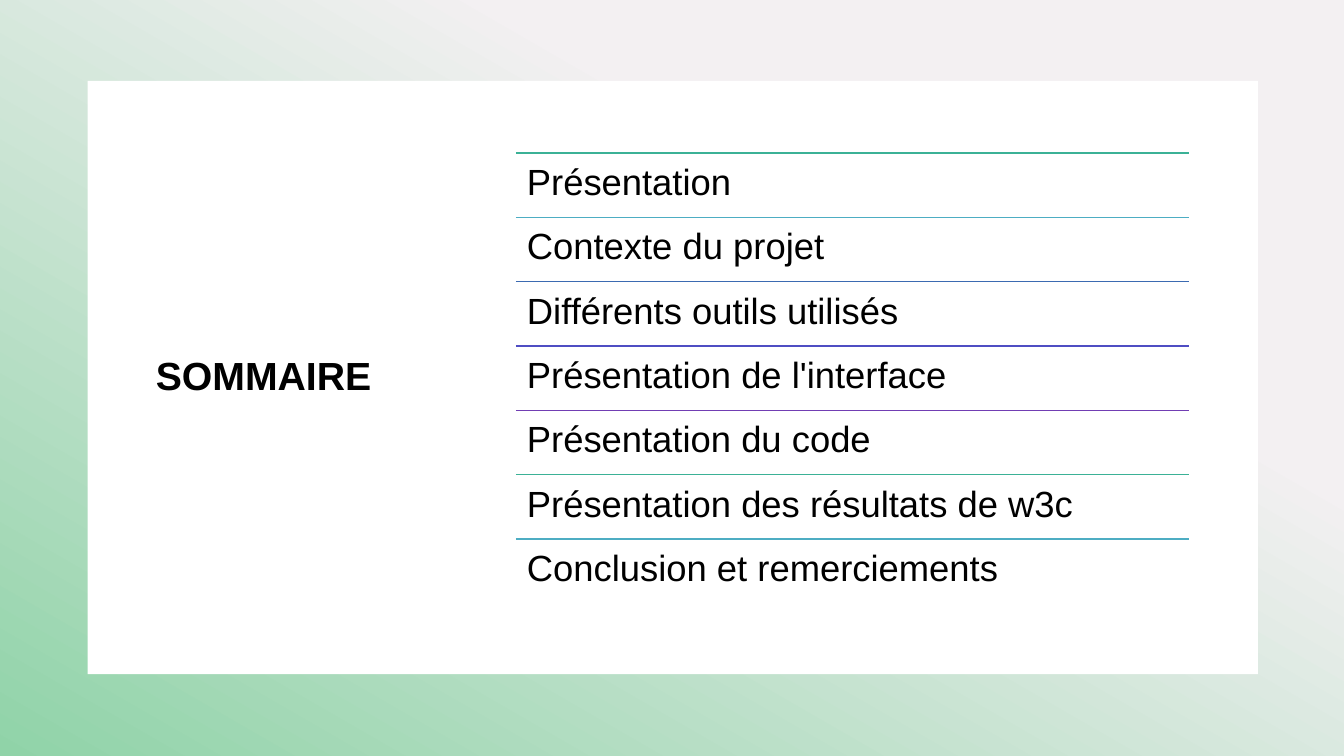
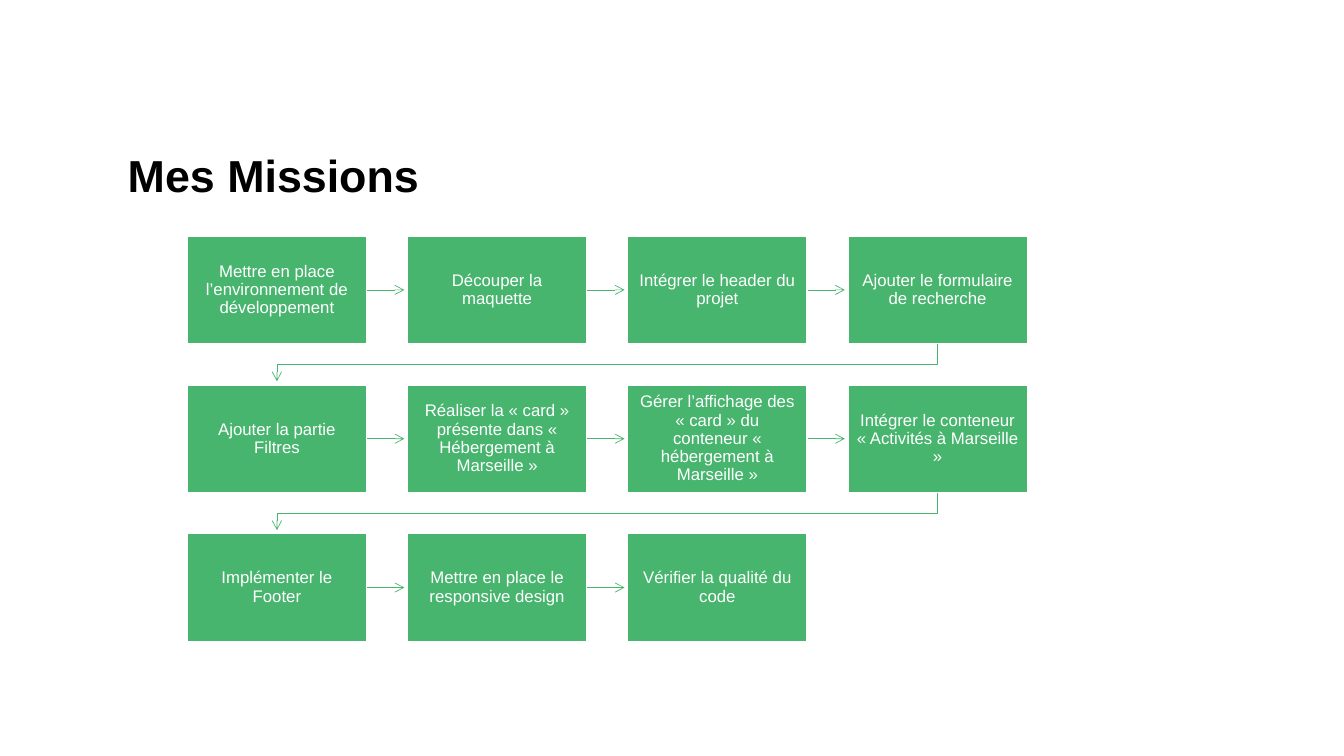
import itertools

import lxml.etree
import pptx
import pptx.dml.color
import pptx.enum.shapes
import pptx.enum.text
import pptx.oxml.ns
import pptx.util

Cm = pptx.util.Cm
Pt = pptx.util.Pt
SHAPE = pptx.enum.shapes.MSO_SHAPE
CONNECTOR = pptx.enum.shapes.MSO_CONNECTOR
ANCHOR = pptx.enum.text.MSO_ANCHOR
ALIGN = pptx.enum.text.PP_ALIGN

FONT = "Arial"
BLACK, WHITE, GREEN = "000000", "FFFFFF", "47B56E"
GRADIENT = [(0.32, "F3F0F2"), (1, "90D3A8")]
RULE_COLORS = ["3BB196", "4DADC3", "3B6AB1", "4F4DC3", "713EB3"]

SUMMARY_TITLE = "SOMMAIRE"
SUMMARY = [
    "Présentation",
    "Contexte du projet",
    "Différents outils utilisés",
    "Présentation de l'interface",
    "Présentation du code",
    "Présentation des résultats de w3c",
    "Conclusion et remerciements",
]

MISSIONS_TITLE = "Mes Missions"
MISSIONS = [
    "Mettre en place l’environnement de développement",
    "Découper la maquette",
    "Intégrer le header du projet",
    "Ajouter le formulaire de recherche",
    "Ajouter la partie Filtres",
    "Réaliser la « card » présente dans « Hébergement à Marseille »",
    "Gérer l’affichage des « card » du conteneur « hébergement à Marseille »",
    "Intégrer le conteneur « Activités à Marseille »",
    "Implémenter le Footer",
    "Mettre en place le responsive design",
    "Vérifier la qualité du code",
]

RULE_LEFT, RULE_TOP, RULE_WIDTH, RULE_STEP = 13.0, 3.86, 16.97, 1.62
COLUMNS = 4
GRID_LEFT, GRID_TOP = 4.72, 5.95
BOX_WIDTH, BOX_HEIGHT = 4.52, 2.71
COLUMN_STEP, ROW_STEP = 5.55, 3.75
ARROW_LENGTH = 0.95


def rgb(color):
    return pptx.dml.color.RGBColor.from_string(color)


def write_text(box, text, size, color=BLACK, bold=False, align=ALIGN.LEFT,
               anchor=ANCHOR.MIDDLE, insets=(0.25, 0.13)):
    """Fill a box with one paragraph; insets are horizontal and vertical, in cm."""
    frame = box.text_frame
    frame.word_wrap = True
    frame.vertical_anchor = anchor
    frame.margin_left = frame.margin_right = Cm(insets[0])
    frame.margin_top = frame.margin_bottom = Cm(insets[1])
    para = frame.paragraphs[0]
    para.alignment = align
    para.line_spacing = 0.9
    span = para.add_run()
    span.text = text
    span.font.name = FONT
    span.font.size = Pt(size)
    span.font.bold = bold
    span.font.color.rgb = rgb(color)


def add_text(page, area, text, **text_format):
    box = page.shapes.add_textbox(*map(Cm, area))
    write_text(box, text, **text_format)


def add_title(page, area, text, size, anchor=ANCHOR.MIDDLE):
    add_text(page, area, text, size=size, bold=True, anchor=anchor)


def add_rectangle(page, area, fill, line=None):
    box = page.shapes.add_shape(SHAPE.RECTANGLE, *map(Cm, area))
    box.shadow.inherit = False
    box.fill.solid()
    box.fill.fore_color.rgb = rgb(fill)
    if line:
        box.line.color.rgb = rgb(line)
        box.line.width = Pt(1)
    else:
        box.line.fill.background()
    return box


def add_line(page, points, color, width, arrow=False):
    """Join points given in cm: a connector for two, an open outline for more."""
    points = [(Cm(x), Cm(y)) for x, y in points]
    if len(points) == 2:
        line = page.shapes.add_connector(CONNECTOR.STRAIGHT, *points[0], *points[1])
        properties = line._element.spPr
    else:
        builder = page.shapes.build_freeform(*points[0])
        builder.add_line_segments(points[1:], close=False)
        line = builder.convert_to_shape()
        line.fill.background()
        properties = line._element.spPr
    line.line.color.rgb = rgb(color)
    line.line.width = Pt(width)
    lxml.etree.SubElement(properties, pptx.oxml.ns.qn("a:effectLst"))
    if arrow:
        outline = properties.find(pptx.oxml.ns.qn("a:ln"))
        lxml.etree.SubElement(outline, pptx.oxml.ns.qn("a:tailEnd"), type="arrow")


def fill_background(page):
    fill = page.background.fill
    fill.gradient()
    fill.gradient_angle = 240
    for stop, (position, color) in zip(fill.gradient_stops, GRADIENT):
        stop.position = position
        stop.color.rgb = rgb(color)


def build_summary(page):
    fill_background(page)
    add_rectangle(page, (2.21, 2.04, 29.49, 14.95), WHITE)
    add_title(page, (3.68, 5.72, 8.38, 7.59), SUMMARY_TITLE, 28)
    for row, (entry, color) in enumerate(zip(SUMMARY, itertools.cycle(RULE_COLORS))):
        top = RULE_TOP + row * RULE_STEP
        add_line(page, [(RULE_LEFT, top), (RULE_LEFT + RULE_WIDTH, top)], color, 1)
        add_text(page, (RULE_LEFT, top, RULE_WIDTH, RULE_STEP), entry,
                 size=26, anchor=ANCHOR.TOP, insets=(0.28, 0.28))


def mission_corner(index):
    row, column = divmod(index, COLUMNS)
    return GRID_LEFT + column * COLUMN_STEP, GRID_TOP + row * ROW_STEP


def arrow_points(index):
    """Path from a mission to the next one, turning back at the end of a row."""
    left, top = mission_corner(index)
    right, bottom = left + BOX_WIDTH, top + BOX_HEIGHT
    if (index + 1) % COLUMNS:
        middle = top + BOX_HEIGHT / 2
        return [(right, middle), (right + ARROW_LENGTH, middle)]
    start, end = left + BOX_WIDTH / 2, GRID_LEFT + BOX_WIDTH / 2
    turn = bottom + (ROW_STEP - BOX_HEIGHT) / 2
    return [(start, bottom), (start, turn), (end, turn), (end, bottom + ARROW_LENGTH)]


def build_missions(page):
    add_title(page, (2.97, 2.59, 24.69, 2.64), MISSIONS_TITLE, 32, ANCHOR.BOTTOM)
    for index, mission in enumerate(MISSIONS):
        if index + 1 < len(MISSIONS):
            add_line(page, arrow_points(index), GREEN, 0.5, arrow=True)
        area = (*mission_corner(index), BOX_WIDTH, BOX_HEIGHT)
        box = add_rectangle(page, area, GREEN, line=WHITE)
        write_text(box, mission, size=12, color=WHITE, align=ALIGN.CENTER,
                   insets=(0.22, 0.22))


def main():
    deck = pptx.Presentation()
    deck.slide_width, deck.slide_height = Cm(33.87), Cm(19.05)
    for build in (build_summary, build_missions):
        build(deck.slides.add_slide(deck.slide_layouts[6]))
    deck.save("out.pptx")


if __name__ == "__main__":
    main()
